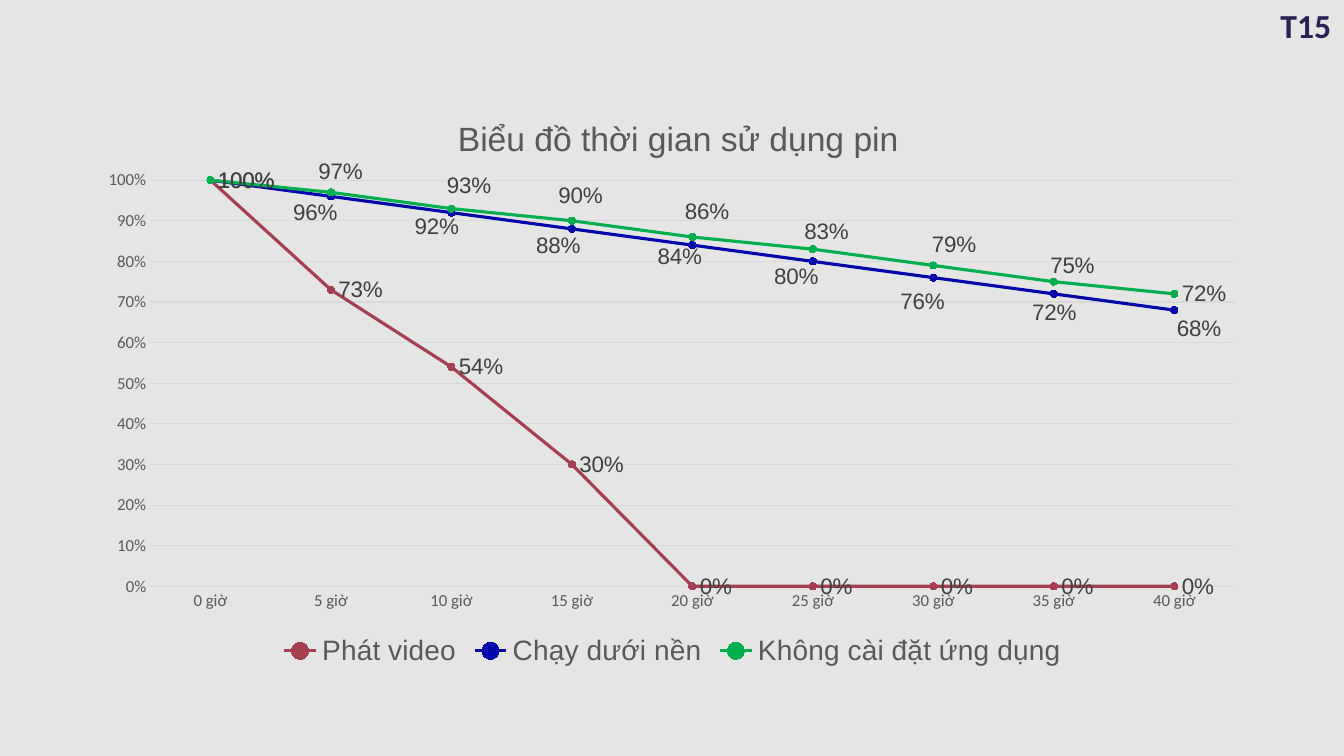
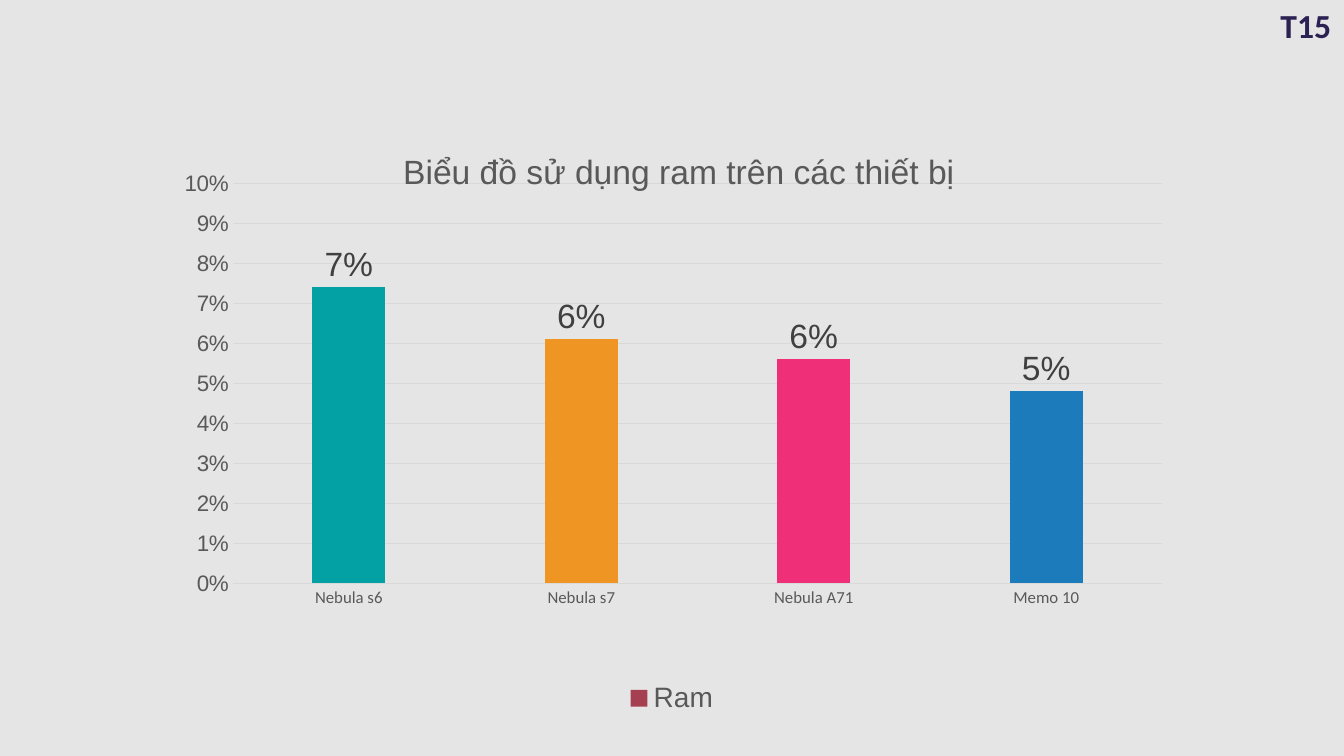
"""Build two slides with charts of battery life and RAM use."""
from lxml import etree
from pptx import Presentation
from pptx.chart.data import CategoryChartData
from pptx.dml.color import RGBColor
from pptx.enum.chart import (XL_CHART_TYPE, XL_LABEL_POSITION, XL_LEGEND_POSITION,
                             XL_MARKER_STYLE, XL_TICK_MARK)
from pptx.enum.text import MSO_ANCHOR, MSO_AUTO_SIZE
from pptx.oxml.ns import qn
from pptx.util import Inches, Pt

BACK = RGBColor(0xE5, 0xE5, 0xE5)
NAVY = RGBColor(0x2C, 0x21, 0x53)
GRAY = RGBColor(0x59, 0x59, 0x59)
DARK = RGBColor(0x40, 0x40, 0x40)
GRID = RGBColor(0xD9, 0xD9, 0xD9)
WINE = RGBColor(0xA5, 0x3F, 0x52)
BLUE = RGBColor(0x03, 0x06, 0xAA)
GREEN = RGBColor(0x00, 0xB0, 0x50)
TEAL = RGBColor(0x03, 0xA1, 0xA4)
ORANGE = RGBColor(0xEE, 0x95, 0x24)
PINK = RGBColor(0xEF, 0x30, 0x78)
SKY = RGBColor(0x1C, 0x7C, 0xBB)

TAG = "T15"
BATTERY = {
    "title": "Biểu đồ thời gian sử dụng pin",
    "type": XL_CHART_TYPE.LINE_MARKERS,
    "box": (0.85, 0.83, 11.64, 5.84),
    "title_at": (4.48, 1.1),
    "plot": (1.49, 1.79, 10.76, 4.03),
    "cats": [f"{hour} giờ" for hour in range(0, 41, 5)],
    "series": [
        ("Phát video", [1, 0.73, 0.54, 0.3, 0, 0, 0, 0, 0]),
        ("Chạy dưới nền", [1, 0.96, 0.92, 0.88, 0.84, 0.8, 0.76, 0.72, 0.68]),
        ("Không cài đặt ứng dụng", [1, 0.97, 0.93, 0.9, 0.86, 0.83, 0.79, 0.75, 0.72]),
    ],
    "max": 1,
    "axis_font": ("Calibri", 12),
    "label_size": 16,
}
LINE_COLORS = [WINE, BLUE, GREEN]
LABEL_SHIFTS = [
    [],
    [(-0.45, 0.16), (-0.44, 0.14), (-0.43, 0.17), (-0.42, 0.11),
     (-0.46, 0.15), (-0.4, 0.24), (-0.29, 0.19), (-0.05, 0.18)],
    [(-0.2, -0.21), (-0.12, -0.23), (-0.21, -0.25), (-0.15, -0.25),
     (-0.16, -0.17), (-0.09, -0.21), (-0.11, -0.16)],
]
RAM = {
    "title": "Biểu đồ sử dụng ram trên các thiết bị",
    "type": XL_CHART_TYPE.COLUMN_CLUSTERED,
    "box": (1.69, 1.21, 9.95, 5.93),
    "title_at": (3.94, 1.43),
    "plot": (2.31, 1.82, 9.22, 3.97),
    "cats": ["Nebula s6", "Nebula s7", "Nebula A71", "Memo 10"],
    "series": [("Ram", [0.074, 0.061, 0.056, 0.048])],
    "max": 0.1,
    "axis_font": ("Arial", 16),
    "label_size": 24,
}
BAR_COLORS = [TEAL, ORANGE, PINK, SKY]


def set_font(font, name, size, color=GRAY, bold=False):
    font.name, font.size, font.bold = name, Pt(size), bold
    font.color.rgb = color


def set_layout(parent, index, **values):
    old = parent.find(qn("c:layout"))
    if old is not None:
        parent.remove(old)
    layout = etree.Element(qn("c:layout"))
    manual = etree.SubElement(layout, qn("c:manualLayout"))
    for key, value in values.items():
        etree.SubElement(manual, qn(f"c:{key}")).set("val", str(value))
    parent.insert(index, layout)


def add_slide(prs):
    s = prs.slides.add_slide(prs.slide_layouts[6])
    tf = s.shapes.add_textbox(Inches(12.68), Inches(0.02), Inches(0.55), Inches(0.45)).text_frame
    tf.margin_left = tf.margin_right = tf.margin_top = tf.margin_bottom = Inches(0.02)
    tf.word_wrap = False
    tf.auto_size = MSO_AUTO_SIZE.SHAPE_TO_FIT_TEXT
    tf.vertical_anchor = MSO_ANCHOR.MIDDLE
    tf.text = TAG
    set_font(tf.paragraphs[0].runs[0].font, "Calibri", 24, NAVY, True)
    return s


def style_axes(chart, spec):
    cat, val = chart.category_axis, chart.value_axis
    for axis in (cat, val):
        axis.major_tick_mark = axis.minor_tick_mark = XL_TICK_MARK.NONE
    val.has_major_gridlines = True
    for line in (cat.format.line, val.major_gridlines.format.line):
        line.color.rgb, line.width = GRID, Pt(0.75)
    val.format.line.fill.background()
    set_font(cat.tick_labels.font, "Calibri", 12)
    set_font(val.tick_labels.font, *spec["axis_font"])
    val.tick_labels.number_format = "0%"
    val.tick_labels.number_format_is_linked = False
    val.minimum_scale, val.maximum_scale = 0, spec["max"]
    val.major_unit = spec["max"] / 10


def add_chart(s, spec):
    data = CategoryChartData(number_format="0%")
    data.categories = spec["cats"]
    for name, values in spec["series"]:
        data.add_series(name, values)
    left, top, width, height = spec["box"]
    chart = s.shapes.add_chart(spec["type"], *map(Inches, spec["box"]), data).chart
    set_font(chart.font, "Calibri", 10, RGBColor(0, 0, 0))

    chart.has_title = True
    title = chart.chart_title
    title.include_in_layout = False
    title.text_frame.text = spec["title"]
    set_font(title.text_frame.paragraphs[0].runs[0].font, "Arial", 24)
    x, y = spec["title_at"]
    set_layout(title._element, 1, xMode="edge", yMode="edge",
               x=round((x - left) / width, 3), y=round((y - top) / height, 3))

    x, y, w, h = spec["plot"]
    plot_area = chart._chartSpace.chart.plotArea
    set_layout(plot_area, 0, layoutTarget="inner", xMode="edge", yMode="edge",
               x=round((x - left) / width, 3), y=round((y - top) / height, 3),
               w=round(w / width, 3), h=round(h / height, 3))

    chart.has_legend = True
    chart.legend.position = XL_LEGEND_POSITION.BOTTOM
    chart.legend.include_in_layout = False
    set_font(chart.legend.font, "Arial", 20)
    style_axes(chart, spec)
    chart.plots[0].vary_by_categories = False
    for ser in chart.series:
        labels = ser.data_labels
        labels.show_value = True
        labels.number_format, labels.number_format_is_linked = "0%", False
        set_font(labels.font, "Arial", spec["label_size"], DARK)
    return chart


def style_lines(chart, spec):
    _, _, width, height = spec["box"]
    for ser, color, shifts in zip(chart.series, LINE_COLORS, LABEL_SHIFTS):
        ser.smooth = False
        ser.format.line.color.rgb, ser.format.line.width = color, Pt(2.25)
        ser.marker.style, ser.marker.size = XL_MARKER_STYLE.CIRCLE, 5
        ser.marker.format.fill.solid()
        ser.marker.format.fill.fore_color.rgb = color
        ser.marker.format.line.color.rgb = color
        ser.data_labels.position = XL_LABEL_POSITION.RIGHT
        for i, (dx, dy) in enumerate(shifts, 1):
            label = ser.points[i].data_label
            set_font(label.font, "Arial", spec["label_size"], DARK)
            label.position = XL_LABEL_POSITION.RIGHT
            item = ser.data_labels._element.xpath(f"c:dLbl[c:idx/@val='{i}']")[0]
            set_layout(item, 1, x=round(dx / width, 4), y=round(dy / height, 4))
    first = etree.Element(qn("c:dLbl"))
    for name, value in (("idx", "0"), ("delete", "1")):
        etree.SubElement(first, qn(f"c:{name}")).set("val", value)
    chart.series[-1].data_labels._element.insert(0, first)


def style_bars(chart):
    plot = chart.plots[0]
    plot.gap_width, plot.overlap = 219, -27
    ser = plot.series[0]
    ser.invert_if_negative = False
    ser.data_labels.position = XL_LABEL_POSITION.OUTSIDE_END
    bars = [ser.points[i] for i in range(len(BAR_COLORS))]
    for part, color in zip([ser, *bars], [WINE, *BAR_COLORS]):
        part.format.fill.solid()
        part.format.fill.fore_color.rgb = color


def main():
    prs = Presentation()
    prs.slide_width, prs.slide_height = Inches(13.33), Inches(7.5)
    fill = prs.slide_master.background.fill
    fill.solid()
    fill.fore_color.rgb = BACK
    style_lines(add_chart(add_slide(prs), BATTERY), BATTERY)
    style_bars(add_chart(add_slide(prs), RAM))
    prs.save("out.pptx")


if __name__ == "__main__":
    main()
